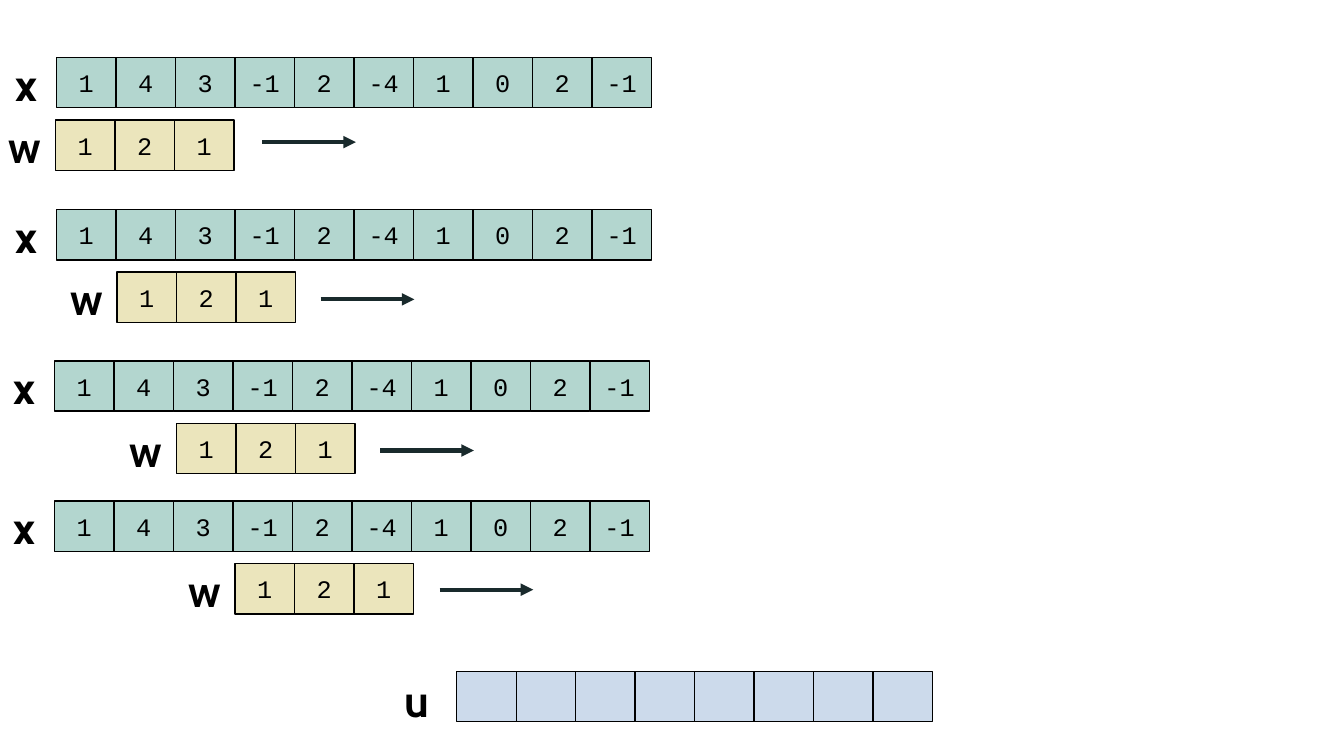
from lxml import etree
from pptx import Presentation
from pptx import util as u
from pptx.dml.color import RGBColor
from pptx.enum import shapes, text
from pptx.oxml import ns

PX = 9144
CELL_WIDTH, CELL_HEIGHT = 59, 50
LABEL_WIDTH, LABEL_HEIGHT = 78, 64
ARROW_LENGTH = 93
KERNEL_DROP = 62

SIGNAL = ["1", "4", "3", "-1", "2", "-4", "1", "0", "2", "-1"]
KERNEL = ["1", "2", "1"]
OUTPUT = [""] * 8

STEPS = [
    dict(signal_left=56, top=57, kernel_left=55, arrow=(260, 141)),
    dict(signal_left=56, top=208, kernel_left=116, arrow=(318, 297)),
    dict(signal_left=54, top=358, kernel_left=175, arrow=(377, 447)),
    dict(signal_left=54, top=497, kernel_left=233, arrow=(436, 585)),
]


def color(value):
    return RGBColor.from_string(value)


def px(*lengths):
    return [u.Emu(length * PX) for length in lengths]


def add_xml(parent, tag, **attributes):
    return etree.SubElement(parent, ns.qn(tag), attributes)


class Diagram:
    ink = "000000"
    arrow_ink = "192A2C"
    fills = {"x": ("8CC2B7", 66), "w": ("DFD693", 61), "u": ("87A7D0", 42)}
    cell_font = dict(name="Courier New", size=u.Pt(18), bold=False)
    label_font = dict(name="Cabin", size=u.Pt(32), bold=True)

    def __init__(self, slide):
        self.slide = slide

    def set_text(self, frame, words, font):
        frame.word_wrap = True
        paragraph = frame.paragraphs[0]
        paragraph.alignment = text.PP_ALIGN.CENTER
        run = paragraph.add_run()
        run.text = words
        for attribute, value in font.items():
            setattr(run.font, attribute, value)
        run.font.color.rgb = color(self.ink)

    def cell(self, left, top, value, vector):
        box = self.slide.shapes.add_shape(
            shapes.MSO_SHAPE.RECTANGLE, *px(left, top, CELL_WIDTH, CELL_HEIGHT)
        )
        fill, opacity = self.fills[vector]
        box.shadow.inherit = False
        box.fill.solid()
        box.fill.fore_color.rgb = color(fill)
        tint = box._element.spPr.find(ns.qn("a:solidFill")).find(ns.qn("a:srgbClr"))
        add_xml(tint, "a:alpha", val=str(opacity * 1000))
        box.line.color.rgb = color(self.ink)
        box.line.width = u.Pt(1)
        if value:
            box.text_frame.vertical_anchor = text.MSO_ANCHOR.MIDDLE
            self.set_text(box.text_frame, value, self.cell_font)

    def label(self, left, top, words):
        box = self.slide.shapes.add_textbox(*px(left, top, LABEL_WIDTH, LABEL_HEIGHT))
        box.text_frame.auto_size = text.MSO_AUTO_SIZE.SHAPE_TO_FIT_TEXT
        self.set_text(box.text_frame, words, self.label_font)

    def vector(self, name, values, left, top, label_gap=69, label_rise=6):
        for index, value in enumerate(values):
            self.cell(left + index * CELL_WIDTH, top, value, name)
        self.label(left - label_gap, top - label_rise, name)

    def arrow(self, left, top):
        line = self.slide.shapes.add_connector(
            shapes.MSO_CONNECTOR.STRAIGHT, *px(left, top, left + ARROW_LENGTH, top)
        )
        line.line.color.rgb = color(self.arrow_ink)
        line.line.width = u.Pt(3)
        properties = line._element.spPr
        add_xml(properties.find(ns.qn("a:ln")), "a:tailEnd", type="triangle")
        add_xml(properties, "a:effectLst")


def main():
    deck = Presentation()
    deck.slide_width, deck.slide_height = px(1333, 750)
    diagram = Diagram(deck.slides.add_slide(deck.slide_layouts[6]))
    for step in STEPS:
        diagram.vector("x", SIGNAL, step["signal_left"], step["top"])
        diagram.vector("w", KERNEL, step["kernel_left"], step["top"] + KERNEL_DROP)
        diagram.arrow(*step["arrow"])
    diagram.vector("u", OUTPUT, 453, 666, label_gap=79, label_rise=4)
    deck.save("out.pptx")


if __name__ == "__main__":
    main()
